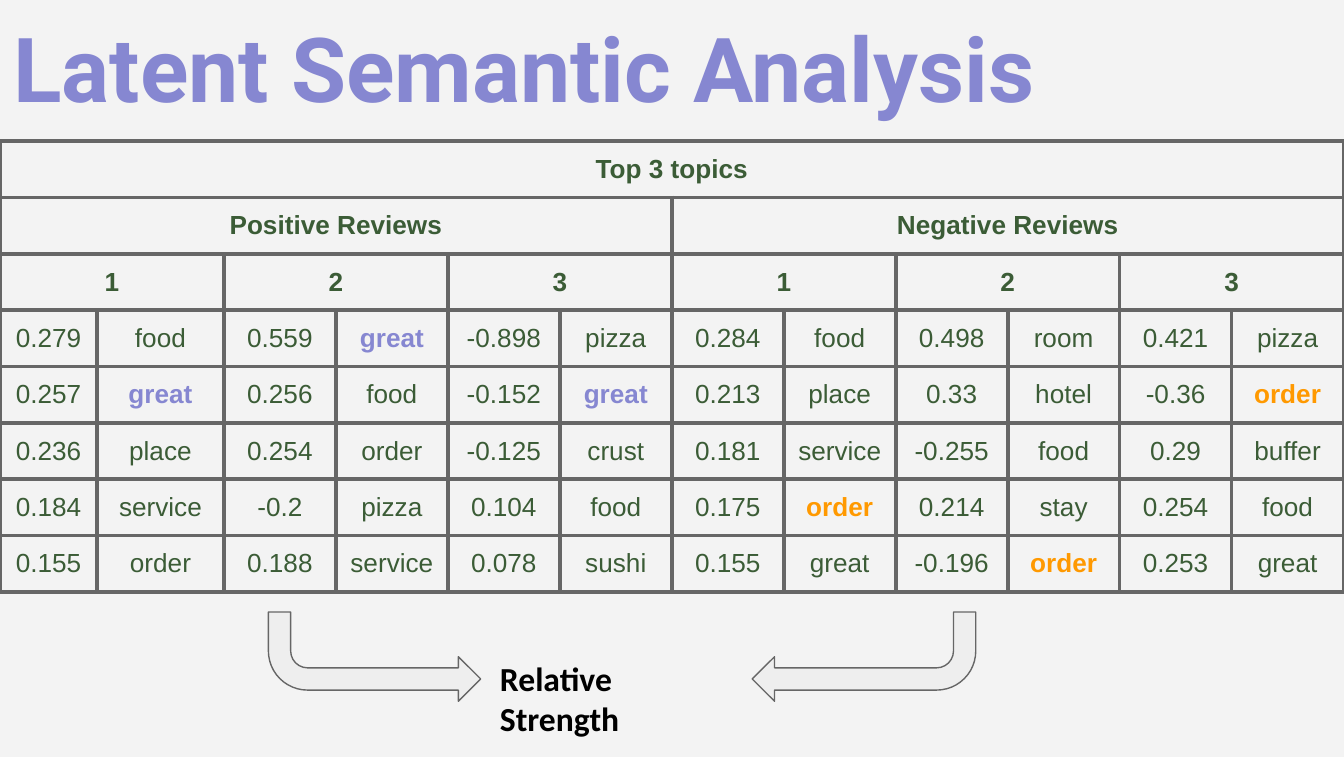
from lxml.etree import SubElement
from pptx import Presentation
from pptx.dml.color import RGBColor
from pptx.enum.shapes import MSO_SHAPE
from pptx.enum.text import MSO_ANCHOR, MSO_AUTO_SIZE, PP_ALIGN
from pptx.oxml.ns import qn
from pptx.util import Pt

PAPER = RGBColor(0xF3, 0xF3, 0xF3)
LILAC = RGBColor(0x86, 0x87, 0xD1)
GREEN = RGBColor(0x3B, 0x5C, 0x36)
AMBER = RGBColor(0xFF, 0x99, 0x00)
GREY = RGBColor(0x66, 0x66, 0x66)
PALE = RGBColor(0xEE, 0xEE, 0xEE)
BLACK = RGBColor(0, 0, 0)

TITLE = "Latent Semantic Analysis"
LABEL = "Relative Strength"
HEADS = [
    ["Top 3 topics"],
    ["Positive Reviews", "Negative Reviews"],
    ["1", "2", "3", "1", "2", "3"],
]
ROWS = [
    ["0.279", "food", "0.559", "great", "-0.898", "pizza",
     "0.284", "food", "0.498", "room", "0.421", "pizza"],
    ["0.257", "great", "0.256", "food", "-0.152", "great",
     "0.213", "place", "0.33", "hotel", "-0.36", "order"],
    ["0.236", "place", "0.254", "order", "-0.125", "crust",
     "0.181", "service", "-0.255", "food", "0.29", "buffer"],
    ["0.184", "service", "-0.2", "pizza", "0.104", "food",
     "0.175", "order", "0.214", "stay", "0.254", "food"],
    ["0.155", "order", "0.188", "service", "0.078", "sushi",
     "0.155", "great", "-0.196", "order", "0.253", "great"],
]
WIDTHS = [52, 68] + [60] * 10
HIGH = 30.15
COLS = len(WIDTHS)
HALF = COLS // 2
ARROWS = [(143.75, 113.75, True), (403, 119.75, False)]


def write(frame, text, face, size, color, bold=True, align=PP_ALIGN.LEFT):
    frame.text = text
    para = frame.paragraphs[0]
    para.alignment = align
    font = para.font
    font.name, font.size, font.bold = face, Pt(size), bold
    font.color.rgb = color


def inset(box):
    box.margin_left = box.margin_right = Pt(7.2)
    box.margin_top = box.margin_bottom = Pt(7.2)


def border(cell):
    props = cell._tc.get_or_add_tcPr()
    for side in ("lnL", "lnR", "lnT", "lnB"):
        line = SubElement(props, qn("a:" + side), w=str(Pt(2.25)))
        fill = SubElement(line, qn("a:solidFill"))
        SubElement(fill, qn("a:srgbClr"), val=str(GREY))


def style(word, col):
    if word == "great" and col < HALF:
        return LILAC, True
    if word == "order" and col >= HALF:
        return AMBER, True
    return GREEN, False


deck = Presentation()
deck.slide_width, deck.slide_height = Pt(720), Pt(405.36)
slide = deck.slides.add_slide(deck.slide_layouts[5])
slide.background.fill.solid()
slide.background.fill.fore_color.rgb = PAPER
shapes = slide.shapes

title = shapes.title
title.left, title.top, title.width, title.height = Pt(0), Pt(0), Pt(720), Pt(71.5)
frame = title.text_frame
inset(frame)
frame.auto_size = MSO_AUTO_SIZE.NONE
frame.vertical_anchor = MSO_ANCHOR.MIDDLE
write(frame, TITLE, "Roboto", 48, LILAC)

count = len(HEADS) + len(ROWS)
table = shapes.add_table(
    count, COLS, Pt(0), Pt(75.6), Pt(sum(WIDTHS)), Pt(HIGH * count)).table
table.first_row = table.horz_banding = False
for col, width in zip(table.columns, WIDTHS):
    col.width = Pt(width)
for row in table.rows:
    row.height = Pt(HIGH)
for cell in table.iter_cells():
    inset(cell)
    border(cell)
    cell.fill.background()

for r, heads in enumerate(HEADS):
    span = COLS // len(heads)
    for i, head in enumerate(heads):
        cell = table.cell(r, i * span)
        cell.merge(table.cell(r, (i + 1) * span - 1))
        write(cell.text_frame, head, "Arial", 14, GREEN, True, PP_ALIGN.CENTER)
for r, words in enumerate(ROWS, len(HEADS)):
    for c, word in enumerate(words):
        color, bold = style(word, c)
        write(table.cell(r, c).text_frame, word, "Arial", 14, color, bold,
              PP_ALIGN.CENTER)

for left, width, flip in ARROWS:
    arrow = shapes.add_shape(
        MSO_SHAPE.BENT_ARROW, Pt(left), Pt(327.75), Pt(width), Pt(47.75))
    for i, value in enumerate((0.25, 0.25, 0.25, 0.44)):
        arrow.adjustments[i] = value
    arrow.rotation = 180
    if flip:
        arrow.element.spPr.xfrm.set("flipH", "1")
    arrow.shadow.inherit = False
    arrow.fill.solid()
    arrow.fill.fore_color.rgb = PALE
    arrow.line.color.rgb = GREY
    arrow.line.width = Pt(0.75)

label = shapes.add_textbox(Pt(260.8), Pt(344.9), Pt(139.7), Pt(35.3)).text_frame
inset(label)
label.word_wrap = True
write(label, LABEL, "Calibri", 18, BLACK)

deck.save("out.pptx")
